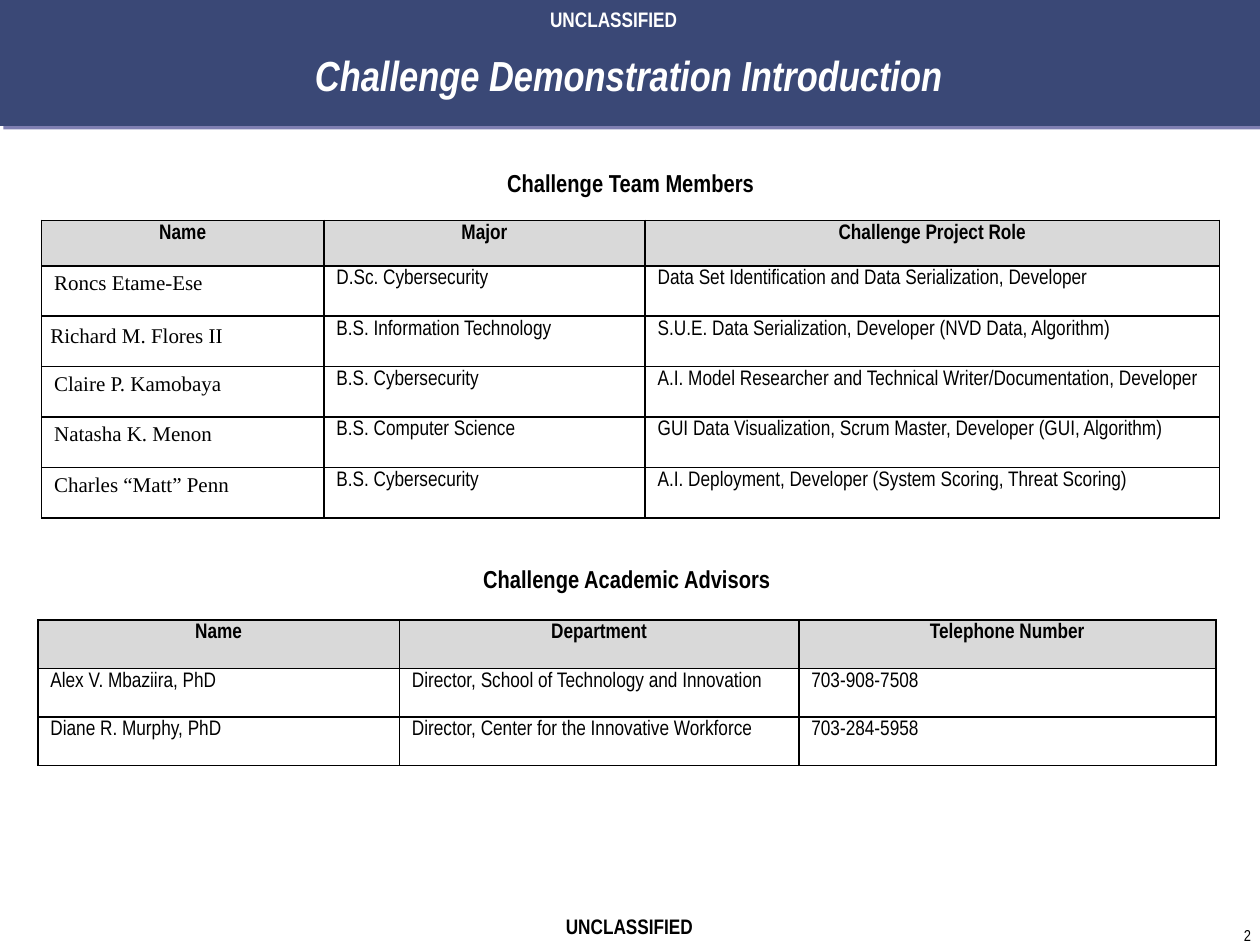
from lxml import etree
from pptx import Presentation
from pptx.dml.color import RGBColor
from pptx.enum import shapes, text
from pptx.oxml import parse_xml
from pptx.oxml.ns import nsdecls
from pptx.util import Inches, Pt

SANS, SERIF = "Arial Narrow", "Times New Roman"
BLACK, WHITE, GREY, NAVY = "000000", "FFFFFF", "D9D9D9", "3A4876"
CENTER, LEFT, RIGHT = text.PP_ALIGN.CENTER, text.PP_ALIGN.LEFT, text.PP_ALIGN.RIGHT

MARKING = "UNCLASSIFIED"
TITLE = "Challenge Demonstration Introduction"
TABLES = [
    dict(
        at=(0.33, 1.36), cols=(2.24, 2.55, 4.56), rows=(0.39, 0.36) + (0.4,) * 5,
        name_font=SERIF, caption="Challenge Team Members",
        head=("Name", "Major", "Challenge Project Role"),
        body=[
            ("Roncs Etame-Ese", "D.Sc. Cybersecurity",
             "Data Set Identification and Data Serialization, Developer"),
            ("Richard M. Flores II", "B.S. Information Technology",
             "S.U.E. Data Serialization, Developer (NVD Data, Algorithm)"),
            ("Claire P. Kamobaya", "B.S. Cybersecurity",
             "A.I. Model Researcher and Technical Writer/Documentation, Developer"),
            ("Natasha K. Menon", "B.S. Computer Science",
             "GUI Data Visualization, Scrum Master, Developer (GUI, Algorithm)"),
            ("Charles “Matt” Penn", "B.S. Cybersecurity",
             "A.I. Deployment, Developer (System Scoring, Threat Scoring)"),
        ],
        tight_cell=(3, 0),
    ),
    dict(
        at=(0.3, 4.5), cols=(2.87, 3.17, 3.31), rows=(0.42,) + (0.385,) * 3,
        name_font=SANS, caption="Challenge Academic Advisors",
        head=("Name", "Department", "Telephone Number"),
        body=[
            ("Alex V. Mbaziira, PhD",
             "Director, School of Technology and Innovation", "703-908-7508"),
            ("Diane R. Murphy, PhD",
             "Director, Center for the Innovative Workforce", "703-284-5958"),
        ],
        tight_cell=None,
    ),
]


def rgb(color):
    return RGBColor.from_string(color)


def write(tf, words, size, color=BLACK, bold=False, italic=False, font=SANS, align=LEFT):
    p = tf.paragraphs[0]
    p.alignment = align
    r = p.add_run()
    r.text = words
    f = p.font
    f.name, f.size, f.bold, f.italic = font, Pt(size), bold, italic
    f.color.rgb = rgb(color)
    return p


def add_text(s, at, words, size, anchor=text.MSO_ANCHOR.TOP, inset=True, wrap=True, **style):
    tf = s.shapes.add_textbox(*map(Inches, at)).text_frame
    tf.word_wrap = wrap
    tf.vertical_anchor = anchor
    if not inset:
        tf.margin_left = tf.margin_right = tf.margin_top = tf.margin_bottom = 0
    return write(tf, words, size, **style)


def shadow(color, alpha, points):
    return parse_xml(
        f'<a:effectLst {nsdecls("a")}><a:outerShdw dist="{Pt(points)}" dir="2700000" '
        f'algn="ctr" rotWithShape="0"><a:srgbClr val="{color}">'
        f'<a:alpha val="{alpha * 1000}"/></a:srgbClr></a:outerShdw></a:effectLst>')


def set_borders(cell, visible):
    """Draw the sides named in visible (from LRTB) and blank the others."""
    tc_pr = cell._tc.get_or_add_tcPr()
    for side in "LRTB":
        fill = (f'<a:solidFill><a:srgbClr val="{BLACK}"/></a:solidFill>'
                if side in visible else "<a:noFill/>")
        tc_pr.append(parse_xml(f'<a:ln{side} {nsdecls("a")} w="{Pt(1)}">{fill}</a:ln{side}>'))


def add_grid(s, spec):
    cols, rows = spec["cols"], spec["rows"]
    caption = (spec["caption"],) + ("",) * (len(cols) - 1)
    lines = [caption, spec["head"], *spec["body"]]
    size = (sum(cols), sum(rows))
    tbl = s.shapes.add_table(len(rows), len(cols), *map(Inches, spec["at"] + size)).table
    tbl.first_row = tbl.horz_banding = False
    for col, width in zip(tbl.columns, cols):
        col.width = Inches(width)
    for row, height in zip(tbl.rows, rows):
        row.height = Inches(height)
    tbl.cell(0, 0).merge(tbl.cell(0, len(cols) - 1))

    for i, line in enumerate(lines):
        for j, words in enumerate(line):
            cell = tbl.cell(i, j)
            set_borders(cell, "LRTB" if i else "B")
            if i == 1:
                cell.fill.solid()
                cell.fill.fore_color.rgb = rgb(GREY)
            else:
                cell.fill.background()
            if (i, j) == spec["tight_cell"]:
                cell.margin_left = cell.margin_right = Inches(0.07)
                cell.margin_top = cell.margin_bottom = Inches(0.07)
            if not words:
                continue
            heading = i < 2
            font = spec["name_font"] if j == 0 and not heading else SANS
            p = write(cell.text_frame, words, 12 if i else 14, bold=heading, font=font,
                      align=CENTER if heading else LEFT)
            if font == SANS:
                p.line_spacing = 0.8


def main():
    prs = Presentation()
    prs.slide_width, prs.slide_height = Inches(10), Inches(7.5)
    s = prs.slides.add_slide(prs.slide_layouts[6])

    banner = s.shapes.add_shape(shapes.MSO_SHAPE.RECTANGLE, 0, 0, Inches(10), Inches(1))
    banner.fill.solid()
    banner.fill.fore_color.rgb = rgb(NAVY)
    banner.line.fill.background()
    banner._element.spPr.append(shadow("000066", 50, 2.8))

    add_text(s, (9.8, 7.35, 0.13, 0.15), "2", 9, inset=False, wrap=False, align=RIGHT)
    add_text(s, (3.14, 7.2, 3.71, 0.3), MARKING, 12, bold=True, align=CENTER)
    add_text(s, (3.33, 0, 3.08, 0.3), MARKING, 12, color=WHITE, bold=True, align=CENTER)
    title = add_text(s, (1.35, 0.19, 7.28, 0.8), TITLE, 24, anchor=text.MSO_ANCHOR.MIDDLE,
                     color=WHITE, bold=True, italic=True, align=CENTER)
    title.runs[0]._r.get_or_add_rPr().append(shadow(BLACK, 100, 2))

    for spec in TABLES:
        add_grid(s, spec)
    prs.save("out.pptx")


if __name__ == "__main__":
    main()
